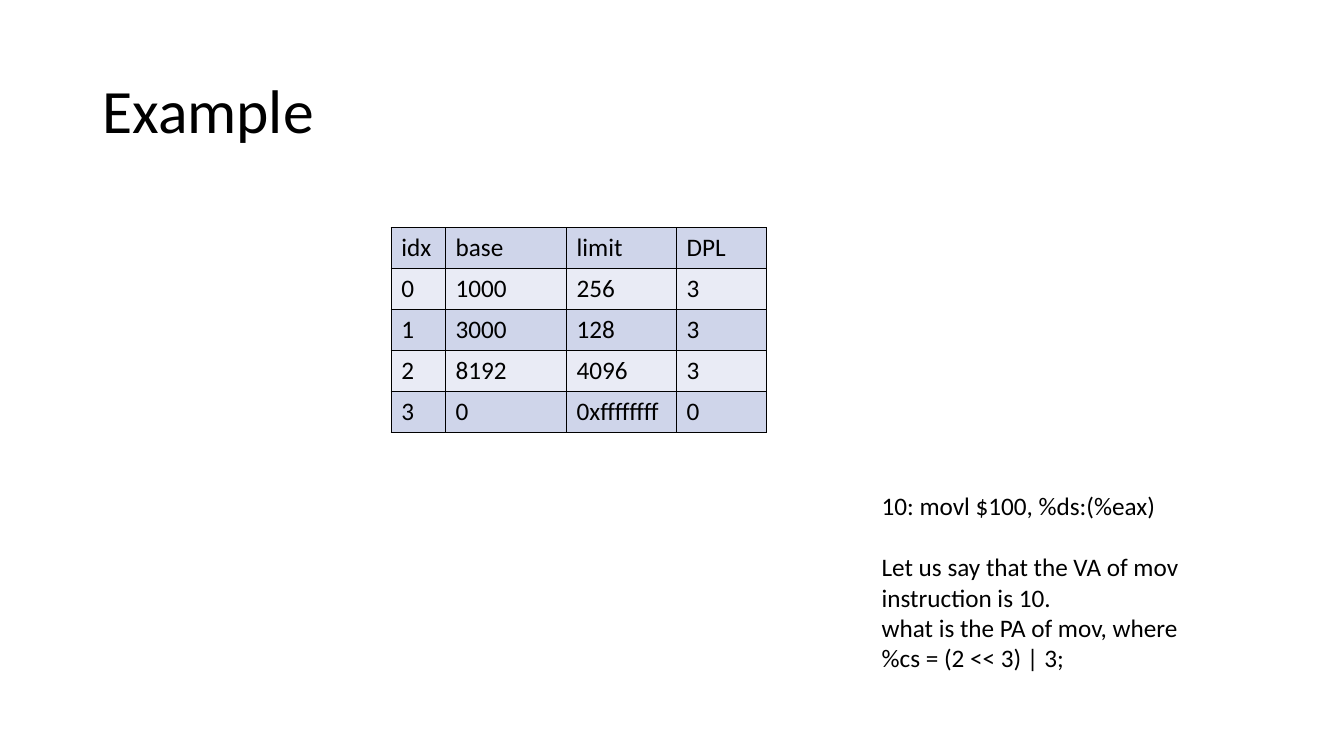
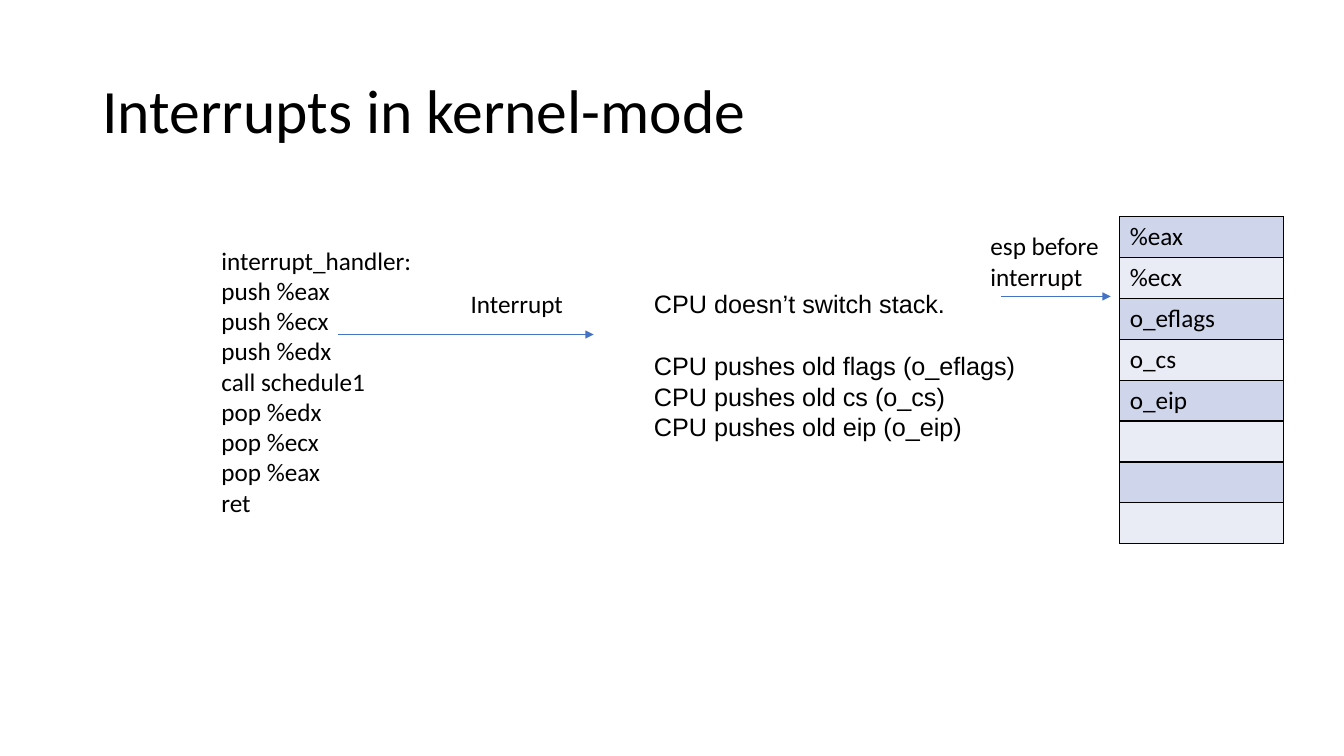
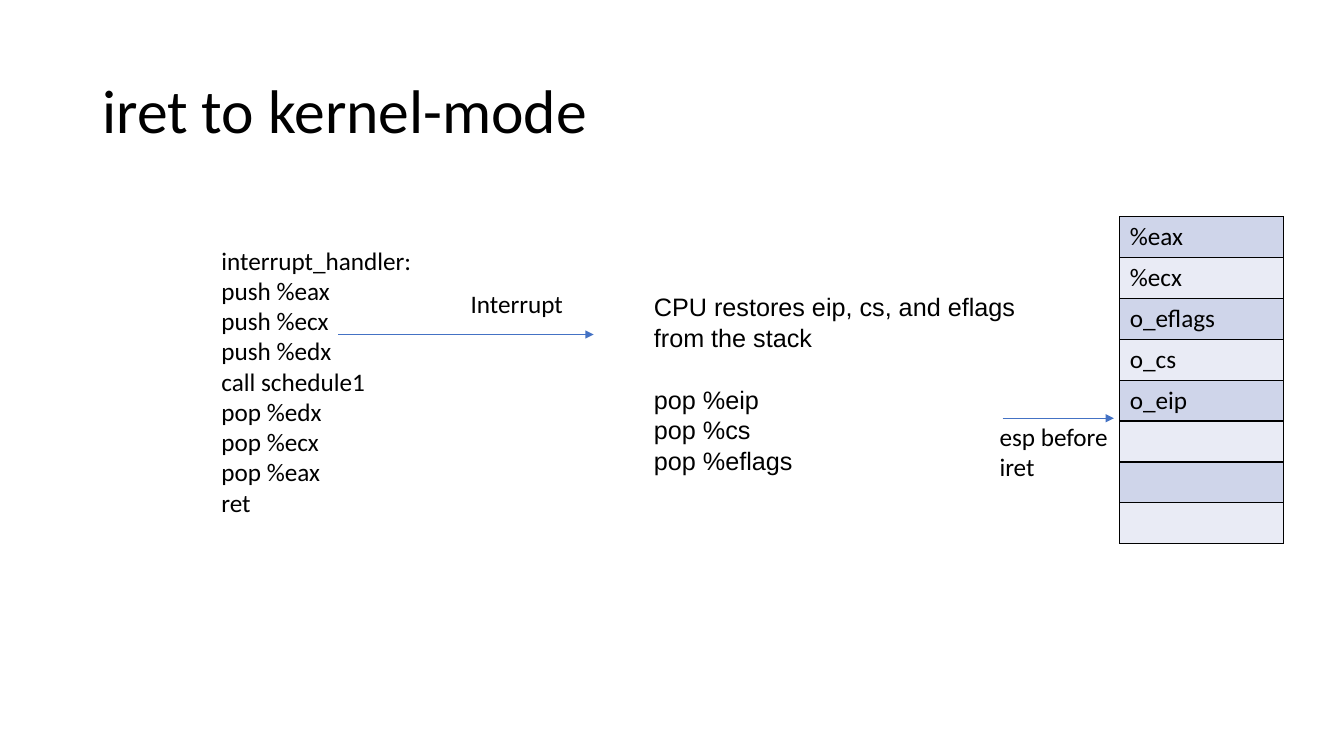
from dataclasses import dataclass
from typing import Optional, Sequence

from lxml import etree
from pptx import Presentation
from pptx.dml.color import RGBColor
from pptx.enum import shapes, text as text_enum
from pptx.oxml import ns
from pptx.util import Cm, Pt

# Shared look
BLACK = "000000"
ARROW_BLUE = "4472C4"
BANDS = ("CFD5EA", "E9EBF5")
BODY_FONT = "Calibri"
NOTE_FONT = "Arial"
BODY_SIZE = 18
LINE_PITCH = 22
ROW_HEIGHT = 1.03


@dataclass
class Label:
    """Text at a place in cm; a blank line starts a new, spaced group."""
    words: str
    left: float
    top: float
    width: float
    height: float
    font: str = BODY_FONT
    pitch: Optional[float] = None


@dataclass
class Arrow:
    left: float
    right: float
    y: float


@dataclass
class Grid:
    left: float
    top: float
    widths: Sequence[float]
    rows: Sequence[Sequence[str]]


def rgb(value: str) -> RGBColor:
    return RGBColor.from_string(value)


def write(frame, words: str, *, font: str = BODY_FONT, size: float = BODY_SIZE,
          color: str = BLACK, spacing=None) -> None:
    """Fill a text frame, one paragraph per line."""
    paragraph = None
    for group in words.split("\n\n"):
        for position, line in enumerate(group.split("\n")):
            starts_group = paragraph is not None and position == 0
            paragraph = frame.paragraphs[0] if paragraph is None else frame.add_paragraph()
            if starts_group:
                paragraph.space_before = Pt(LINE_PITCH)
            if spacing is not None:
                paragraph.line_spacing = spacing
            run = paragraph.add_run()
            run.text = line
            run.font.name = font
            run.font.size = Pt(size)
            run.font.color.rgb = rgb(color)


def add_title(slide, words: str) -> None:
    frame = slide.shapes.add_textbox(Cm(2.33), Cm(1.02), Cm(29.21), Cm(3.68)).text_frame
    frame.word_wrap = True
    frame.vertical_anchor = text_enum.MSO_ANCHOR.MIDDLE
    write(frame, words, size=44, spacing=0.9)


def add_label(slide, label: Label) -> None:
    frame = slide.shapes.add_textbox(
        Cm(label.left), Cm(label.top), Cm(label.width), Cm(label.height)).text_frame
    frame.word_wrap = True
    frame.auto_size = text_enum.MSO_AUTO_SIZE.SHAPE_TO_FIT_TEXT
    write(frame, label.words, font=label.font,
          spacing=Pt(label.pitch) if label.pitch else None)


def add_arrow(slide, arrow: Arrow) -> None:
    connector = slide.shapes.add_connector(
        shapes.MSO_CONNECTOR.STRAIGHT,
        Cm(arrow.left), Cm(arrow.y), Cm(arrow.right), Cm(arrow.y))
    connector.line.color.rgb = rgb(ARROW_BLUE)
    connector.line.width = Pt(0.5)
    etree.SubElement(connector.line._get_or_add_ln(), ns.qn("a:tailEnd"), type="triangle")
    etree.SubElement(connector._element.spPr, ns.qn("a:effectLst"))


def add_borders(cell) -> None:
    properties = cell._tc.get_or_add_tcPr()
    for side in ("lnL", "lnR", "lnT", "lnB"):
        border = etree.SubElement(properties, ns.qn(f"a:{side}"), w=str(Pt(1)))
        fill = etree.SubElement(border, ns.qn("a:solidFill"))
        etree.SubElement(fill, ns.qn("a:srgbClr"), val=BLACK)


def add_grid(slide, grid: Grid) -> None:
    table = slide.shapes.add_table(
        len(grid.rows), len(grid.widths), Cm(grid.left), Cm(grid.top),
        Cm(sum(grid.widths)), Cm(ROW_HEIGHT * len(grid.rows))).table
    table.first_row = False
    table.horz_banding = False
    for column, width in zip(table.columns, grid.widths):
        column.width = Cm(width)
    for index, values in enumerate(grid.rows):
        table.rows[index].height = Cm(ROW_HEIGHT)
        for cell, value in zip(table.rows[index].cells, values):
            add_borders(cell)
            cell.fill.solid()
            cell.fill.fore_color.rgb = rgb(BANDS[index % 2])
            if value:
                write(cell.text_frame, value)


# Content
SEGMENTS = Grid(9.86, 5.74, (1.37, 3.05, 2.77, 2.26), (
    ("idx", "base", "limit", "DPL"),
    ("0", "1000", "256", "3"),
    ("1", "3000", "128", "3"),
    ("2", "8192", "4096", "3"),
    ("3", "0", "0xffffffff", "0"),
))
QUESTION = Label(
    "10: movl $100, %ds:(%eax)\n\n"
    "Let us say that the VA of mov instruction is 10.\n"
    "what is the PA of mov, where\n%cs = (2 << 3) | 3;",
    21.97, 12.24, 9.96, 4.88)

STACK = Grid(28.22, 5.46, (4.12,), [
    (entry,) for entry in ("%eax", "%ecx", "o_eflags", "o_cs", "o_eip", "", "", "")])
HANDLER = Label(
    "interrupt_handler:\npush %eax\npush %ecx\npush %edx\ncall schedule1\n"
    "pop %edx\npop %ecx\npop %eax\nret",
    5.33, 6.05, 7.47, 7.19)
INTERRUPT = Label("Interrupt", 11.61, 7.14, 5.08, 1.02)
INTERRUPT_ARROW = Arrow(8.53, 14.96, 8.43)


def cpu_note(words: str, top: float, height: float) -> Label:
    return Label(words, 16.23, top, 9.63, height, NOTE_FONT, LINE_PITCH)


def esp_note(words: str, left: float, top: float) -> Label:
    return Label(words, left, top, 4.47, 1.8)


def add_slide(deck, title: str):
    slide = deck.slides.add_slide(deck.slide_layouts[6])
    add_title(slide, title)
    return slide


def add_stack_slide(deck, title: str, cpu: Label, esp: Label, esp_arrow: Arrow) -> None:
    slide = add_slide(deck, title)
    add_grid(slide, STACK)
    for arrow in (INTERRUPT_ARROW, esp_arrow):
        add_arrow(slide, arrow)
    for label in (HANDLER, INTERRUPT, esp, cpu):
        add_label(slide, label)


def main() -> None:
    deck = Presentation()
    deck.slide_width, deck.slide_height = Cm(33.87), Cm(19.05)

    # Segment table example
    example = add_slide(deck, "Example")
    add_grid(example, SEGMENTS)
    add_label(example, QUESTION)

    # Entering and leaving an interrupt
    add_stack_slide(
        deck, "Interrupts in kernel-mode",
        cpu_note("CPU doesn’t switch stack.\n\nCPU pushes old flags (o_eflags)\n"
                 "CPU pushes old cs (o_cs)\nCPU pushes old eip (o_eip)", 7.13, 4.11),
        esp_note("esp before interrupt", 24.71, 5.69),
        Arrow(25.22, 27.99, 7.47))
    add_stack_slide(
        deck, "iret to kernel-mode",
        cpu_note("CPU restores eip, cs, and eflags from the stack\n\n"
                 "pop %eip\npop %cs\npop %eflags", 7.21, 5.64),
        esp_note("esp before\niret", 24.94, 10.49),
        Arrow(25.27, 28.07, 10.54))

    deck.save("out.pptx")


if __name__ == "__main__":
    main()
